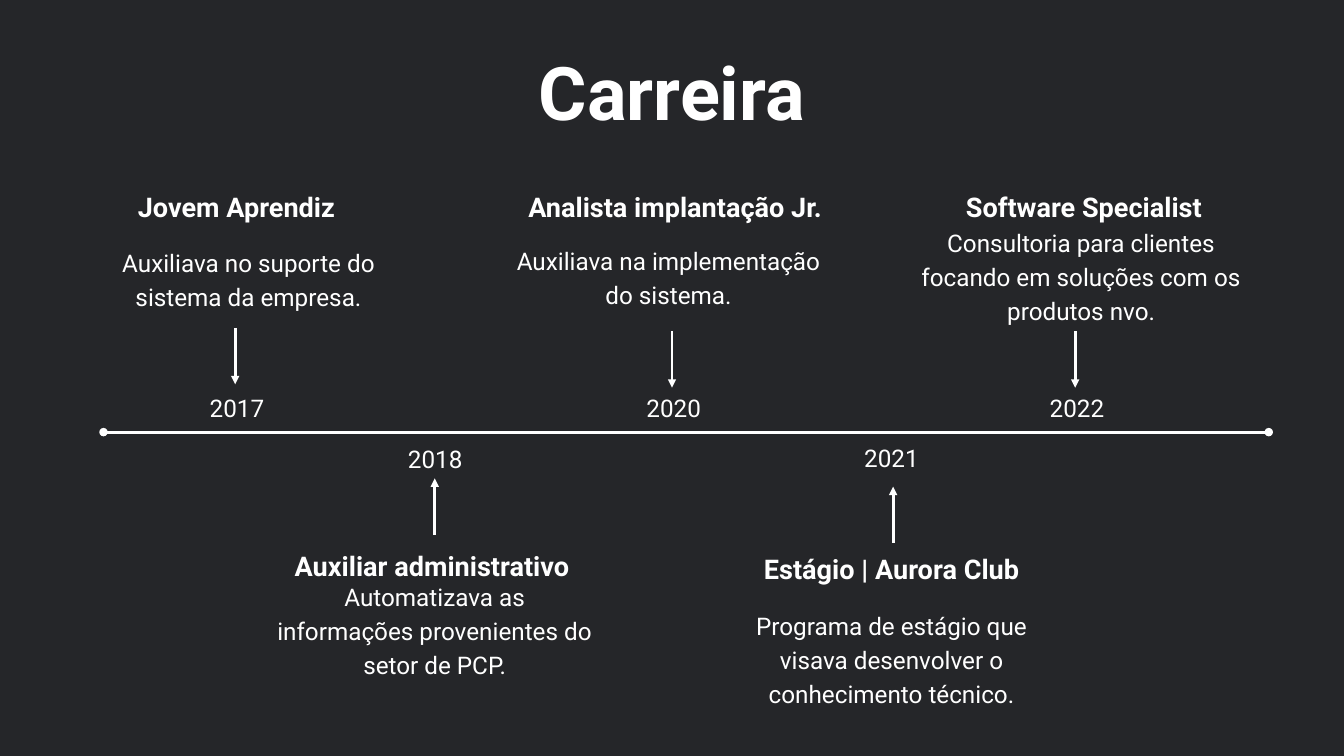
from dataclasses import dataclass

from lxml.etree import SubElement
from pptx import Presentation
from pptx.dml.color import RGBColor
from pptx.enum.shapes import MSO_CONNECTOR
from pptx.enum.text import PP_ALIGN
from pptx.oxml.ns import qn
from pptx.util import Pt


@dataclass(frozen=True)
class Theme:
    background = RGBColor(0x25, 0x26, 0x29)
    foreground = RGBColor(0xFF, 0xFF, 0xFF)
    font = "Roboto"
    title_size = 79.2
    heading_size = 29
    body_size = 26
    title_leading = 1.2
    text_leading = 1.4
    line_width = 3


@dataclass(frozen=True)
class Milestone:
    """A career step; every offset is measured from the corner of its box."""
    year: str
    heading: str
    body: str
    box: tuple
    heading_top: float
    body_offset: tuple
    year_offset: tuple
    arrow_start: tuple


THEME = Theme()
COLUMN_WIDTH = 345.6
YEAR_WIDTH = 96
ARROW_LENGTH = 60.4
ABOVE, BELOW = 198, 470

MILESTONES = [
    Milestone("2017", "Jovem Aprendiz",
              "Auxiliava no suporte do sistema da empresa.",
              (80.6, ABOVE), 0, (13, 62.6), (125.3, 218), (171.4, 153.4)),
    Milestone("2018", "Auxiliar administrativo",
              "Automatizava as informações provenientes do setor de PCP.",
              (290.2, BELOW), 112.5, (2.8, 148.5), (128.1, 0.9), (175.6, 103)),
    Milestone("2020", "Analista implantação Jr.",
              "Auxiliava na implementação do sistema.",
              (550.8, ABOVE), 0, (-7.2, 60.5), (123.1, 218), (169.2, 157)),
    Milestone("2021", "Estágio | Aurora Club",
              "Programa de estágio que visava desenvolver o conhecimento técnico.",
              (782.6, BELOW), 116, (0, 180.2), (124.6, -0.6), (174.3, 111.8)),
    Milestone("2022", "Software Specialist",
              "Consultoria para clientes focando em soluções com os produtos nvo.",
              (988.7, ABOVE), 0, (-3, 41.8), (117.2, 218), (163.3, 157)),
]


def add_text(slide, text, box, size, bold=False, leading=THEME.text_leading):
    shape = slide.shapes.add_textbox(*map(Pt, box))
    frame = shape.text_frame
    frame.word_wrap = True
    frame.margin_left = frame.margin_right = 0
    frame.margin_top = frame.margin_bottom = 0
    frame.text = text
    paragraph = frame.paragraphs[0]
    paragraph.alignment = PP_ALIGN.CENTER
    paragraph.line_spacing = Pt(round(size * leading, 1))
    font = paragraph.runs[0].font
    font.name = THEME.font
    font.size = Pt(size)
    font.bold = bold
    font.color.rgb = THEME.foreground


def add_line(slide, start, end, **line_ends):
    """Draw a line; line_ends maps headEnd or tailEnd to an end type."""
    connector = slide.shapes.add_connector(
        MSO_CONNECTOR.STRAIGHT, *map(Pt, (*start, *end)))
    connector.line.color.rgb = THEME.foreground
    connector.line.width = Pt(THEME.line_width)
    outline = connector.line._get_or_add_ln()
    for name, end_type in line_ends.items():
        SubElement(outline, qn(f"a:{name}"), type=end_type)
    SubElement(connector._element.spPr, qn("a:effectLst"))


def add_title(slide, box):
    add_text(slide, "Carreira", box, THEME.title_size, True, THEME.title_leading)


def add_axis(slide, left, top, width):
    add_line(slide, (left, top), (left + width, top),
             headEnd="oval", tailEnd="oval")


def add_milestone(slide, milestone):
    left, top = milestone.box

    def place(offset):
        return left + offset[0], top + offset[1]

    add_text(slide, milestone.heading,
             (*place((0, milestone.heading_top)), COLUMN_WIDTH, 39.6),
             THEME.heading_size, bold=True)
    add_text(slide, milestone.body,
             (*place(milestone.body_offset), COLUMN_WIDTH, 72), THEME.body_size)
    add_text(slide, milestone.year,
             (*place(milestone.year_offset), YEAR_WIDTH, 36), THEME.body_size)

    x, y = place(milestone.arrow_start)
    direction = 1 if top == ABOVE else -1
    add_line(slide, (x, y), (x, y + direction * ARROW_LENGTH),
             tailEnd="triangle")


def main():
    presentation = Presentation()
    presentation.slide_width = Pt(1440)
    presentation.slide_height = Pt(810)
    slide = presentation.slides.add_slide(presentation.slide_layouts[6])
    slide.background.fill.solid()
    slide.background.fill.fore_color.rgb = THEME.background

    add_title(slide, (545.8, 50.4, 348.5, 95.8))
    add_axis(slide, 110.9, 463, 1248.5)
    for milestone in MILESTONES:
        add_milestone(slide, milestone)
    presentation.save("out.pptx")


if __name__ == "__main__":
    main()
